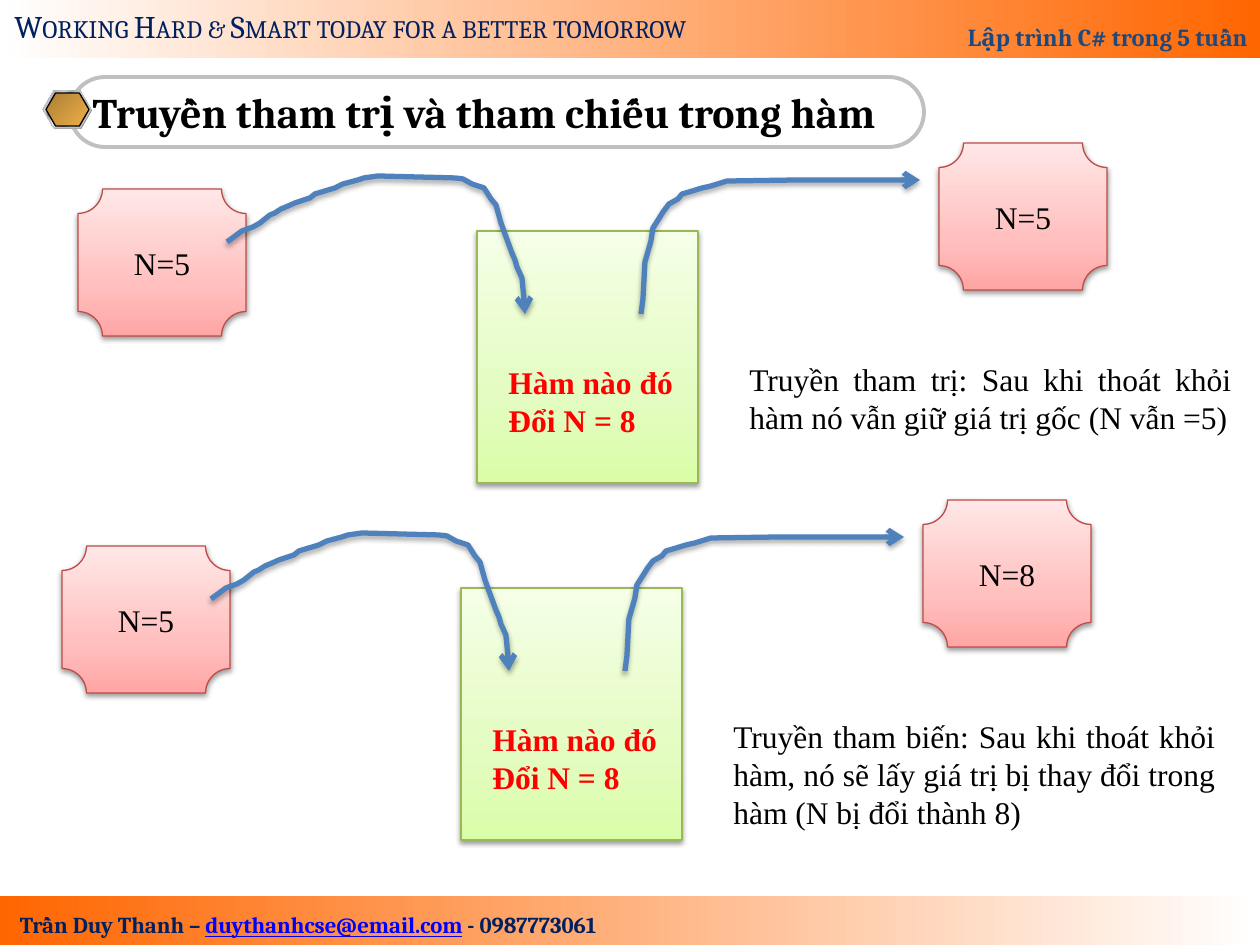
import dataclasses
import pptx
import pptx.dml.color
import pptx.enum.shapes
import pptx.enum.text
import pptx.oxml
import pptx.oxml.ns
import pptx.util

KIND = pptx.enum.shapes.MSO_SHAPE
ALIGN = pptx.enum.text.PP_ALIGN
ANCHOR = pptx.enum.text.MSO_ANCHOR
WIDE, HIGH, DPI = 1260, 945, 126


@dataclasses.dataclass(frozen=True)
class Theme:
    serif: str = "Cambria"
    plain: str = "Times New Roman"
    head: int = 24
    body: int = 18
    tag: int = 14
    foot: int = 13
    black: str = "000000"
    navy: str = "002060"
    blue: str = "1F497D"
    link: str = "0000FF"
    red: str = "FF0000"
    gray: str = "C0C0C0"
    shade: str = "808080"
    curve: str = "4F81BD"
    pink_edge: str = "BF4C48"
    green_edge: str = "98B955"
    band: tuple = ((0, "FFFFFF"), (100, "FF6600"))
    pink: tuple = ((0, "FFA6A5"), (35, "FFC0BF"), (100, "FFE7E7"))
    green: tuple = ((0, "DAFDA7"), (35, "E4FCC2"), (100, "F5FFE7"))
    gold: tuple = ((0, "AB7E34"), (100, "EFB049"))
    steel: tuple = (
        (0, "E6E6E6"), (7, "7D8496"), (26, "E6E6E6"), (34, "7D8496"),
        (46, "E6E6E6"), (50, "FFFFFF"), (54, "E6E6E6"), (66, "7D8496"),
        (74, "E6E6E6"), (93, "7D8496"), (100, "E6E6E6"))


LOOK = Theme()

PATH_IN = [
    (149, 99), (164, 88), (175, 84), (182, 80), (192, 72), (197, 70), (203, 66),
    (208, 64), (217, 60), (232, 55), (237, 51), (257, 45), (265, 41), (280, 37),
    (286, 35), (300, 33), (377, 35), (385, 36), (394, 41), (406, 45), (413, 56),
    (418, 62), (423, 80), (427, 91), (434, 110), (437, 117), (439, 124),
    (444, 135), (446, 156), (447, 171)]
PATH_OUT = [
    (563, 171), (565, 156), (567, 119), (571, 105), (573, 98), (575, 85),
    (582, 74), (585, 69), (591, 61), (600, 56), (604, 51), (611, 49), (624, 45),
    (633, 43), (649, 38), (716, 37), (842, 37)]


def px(num):
    return round(num * 914400 / DPI)


def rgb(code):
    return pptx.dml.color.RGBColor.from_string(code)


def node(name, home, **attrs):
    item = pptx.oxml.parse_xml(f"<a:{name} {pptx.oxml.ns.nsdecls('a')}/>")
    for key, value in attrs.items():
        item.set(key, str(value))
    home.append(item)
    return item


def blend(shape, stops, angle):
    shape.fill.gradient()
    shape.fill.gradient_angle = angle
    stop_list = shape._element.spPr.find(".//" + pptx.oxml.ns.qn("a:gsLst"))
    for old in list(stop_list):
        stop_list.remove(old)
    for place, code in stops:
        node("srgbClr", node("gs", stop_list, pos=place * 1000), val=code)


def paint(shape, fill=None, angle=0, edge=None, width=0.75):
    shape.shadow.inherit = False
    if fill is None:
        shape.fill.background()
    elif isinstance(fill, str):
        shape.fill.solid()
        shape.fill.fore_color.rgb = rgb(fill)
    else:
        blend(shape, fill, angle)
    if edge:
        shape.line.color.rgb = rgb(edge)
        shape.line.width = pptx.util.Pt(width)
    else:
        shape.line.fill.background()


def shadow(shape, dist, alpha):
    effects = shape._element.spPr.find(pptx.oxml.ns.qn("a:effectLst"))
    cast = node("outerShdw", effects, blurRad=pptx.util.Pt(3.1),
                dist=pptx.util.Pt(dist), dir=90 * 60000, rotWithShape=0)
    node("alpha", node("srgbClr", cast, val=LOOK.black), val=alpha * 1000)


def block(slide, kind, box, **style):
    shape = slide.shapes.add_shape(kind, *map(px, box))
    paint(shape, **style)
    return shape


def label(slide, box):
    shape = slide.shapes.add_textbox(*map(px, box))
    shape.text_frame.word_wrap = True
    return shape


def text(shape, words, size=LOOK.body, font=LOOK.plain, color=LOOK.black, bold=False,
         line=False, caps=False, align=ALIGN.LEFT, anchor=ANCHOR.TOP, space=None):
    frame = shape.text_frame
    frame.vertical_anchor = anchor
    for index, part in enumerate(words.split("\n")):
        para = frame.add_paragraph() if index else frame.paragraphs[-1]
        para.alignment = align
        if space:
            para.line_spacing = space
        run = para.add_run()
        run.text = part
        run.font.size = pptx.util.Pt(size)
        run.font.name = font
        run.font.bold = bold
        run.font.underline = line
        run.font.color.rgb = rgb(color)
        if caps:
            run.font._element.set("cap", "small")


def header(slide, box):
    left, top, wide, high = box
    band = block(slide, KIND.RECTANGLE, box, fill=LOOK.band)
    text(band, "Lập trình C# trong 5 tuần", size=LOOK.tag, font=LOOK.serif,
         color=LOOK.blue, bold=True, align=ALIGN.RIGHT, anchor=ANCHOR.BOTTOM, space=1.8)
    motto = label(slide, (left + 2, top + 1, 743, 50))
    text(motto, "Working Hard & Smart today for a better tomorrow",
         font=LOOK.serif, color=LOOK.navy, caps=True)


def footer(slide, box):
    left, top, wide, high = box
    flip = [(100 - place, code) for place, code in reversed(LOOK.band)]
    block(slide, KIND.RECTANGLE, box, fill=flip)
    note = label(slide, (left - 10, top + 9, 636, 40))
    for words, color, line in (("Trần Duy Thanh – ", LOOK.navy, False),
                               ("duythanhcse@email.com", LOOK.link, True),
                               (" - 0987773061", LOOK.navy, False)):
        text(note, words, size=LOOK.foot, font=LOOK.serif, color=color,
             bold=True, line=line, align=ALIGN.CENTER)


def heading(slide, box):
    left, top, wide, high = box
    pill = block(slide, KIND.ROUNDED_RECTANGLE, box, edge=LOOK.gray, width=2.25)
    pill.adjustments[0] = 0.5
    title = slide.shapes.title
    title.left, title.top, title.width, title.height = map(
        px, (left + 10, top, wide - 20, high))
    title.text_frame.auto_size = pptx.enum.text.MSO_AUTO_SIZE.NONE
    text(title, "Truyền tham trị và tham chiếu trong hàm", size=LOOK.head,
         font=LOOK.serif, bold=True, anchor=ANCHOR.MIDDLE)
    for spot, style in (
            ((-26, 15, 48, 37), dict(fill=LOOK.shade)),
            ((-27, 14, 48, 37), dict(fill=LOOK.steel, angle=315, edge=LOOK.gray)),
            ((-24, 16, 43, 33), dict(fill=LOOK.gold, angle=315, edge=LOOK.black))):
        x, y, w, h = spot
        gem = block(slide, KIND.HEXAGON, (left + x, top + y, w, h), **style)
        gem.adjustments[0] = 0.29


def plaque(slide, box, words):
    shape = block(slide, KIND.PLAQUE, box, fill=LOOK.pink, angle=90, edge=LOOK.pink_edge)
    shadow(shape, 1.6, 38)
    text(shape, words, align=ALIGN.CENTER, anchor=ANCHOR.MIDDLE)


def arrow(slide, left, top, points):
    spots = [(px(left + x), px(top + y)) for x, y in points]
    pen = slide.shapes.build_freeform(*spots[0])
    pen.add_line_segments(spots[1:], close=False)
    shape = pen.convert_to_shape()
    paint(shape, edge=LOOK.curve, width=3)
    node("tailEnd", shape.line._ln, type="arrow")
    shadow(shape, 1.8, 35)


def lane(slide, box, result, remark):
    left, top, wide, high = box
    func = block(slide, KIND.RECTANGLE, (left + 399, top + 88, 221, 252),
                 fill=LOOK.green, angle=90, edge=LOOK.green_edge)
    shadow(func, 1.6, 38)
    text(label(slide, (left + 418, top + 214, 200, 89)),
         "Hàm nào đó\nĐổi N = 8", color=LOOK.red, bold=True)
    plaque(slide, (left, top + 46, 168, 147), "N=5")
    arrow(slide, left, top, PATH_IN)
    plaque(slide, (left + 861, top, 168, 147), result)
    arrow(slide, left, top, PATH_OUT)
    text(label(slide, (left + 659, top + 211, wide - 659, high - 211)),
         remark, align=ALIGN.JUSTIFY)


def main():
    deck = pptx.Presentation()
    deck.slide_width, deck.slide_height = px(WIDE), px(HIGH)
    slide = deck.slides.add_slide(deck.slide_layouts[5])
    footer(slide, (0, 896, WIDE, 49))
    header(slide, (0, 0, WIDE, 58))
    heading(slide, (70, 77, 854, 70))
    lane(slide, (78, 143, 1166, 340), "N=5",
         "Truyền tham trị: Sau khi thoát khỏi hàm nó vẫn giữ giá trị gốc (N vẫn =5)")
    lane(slide, (62, 500, 1166, 340), "N=8",
         "Truyền tham biến: Sau khi thoát khỏi hàm, nó sẽ lấy giá trị bị thay đổi "
         "trong hàm (N bị đổi thành 8)")
    deck.save("out.pptx")


if __name__ == "__main__":
    main()
